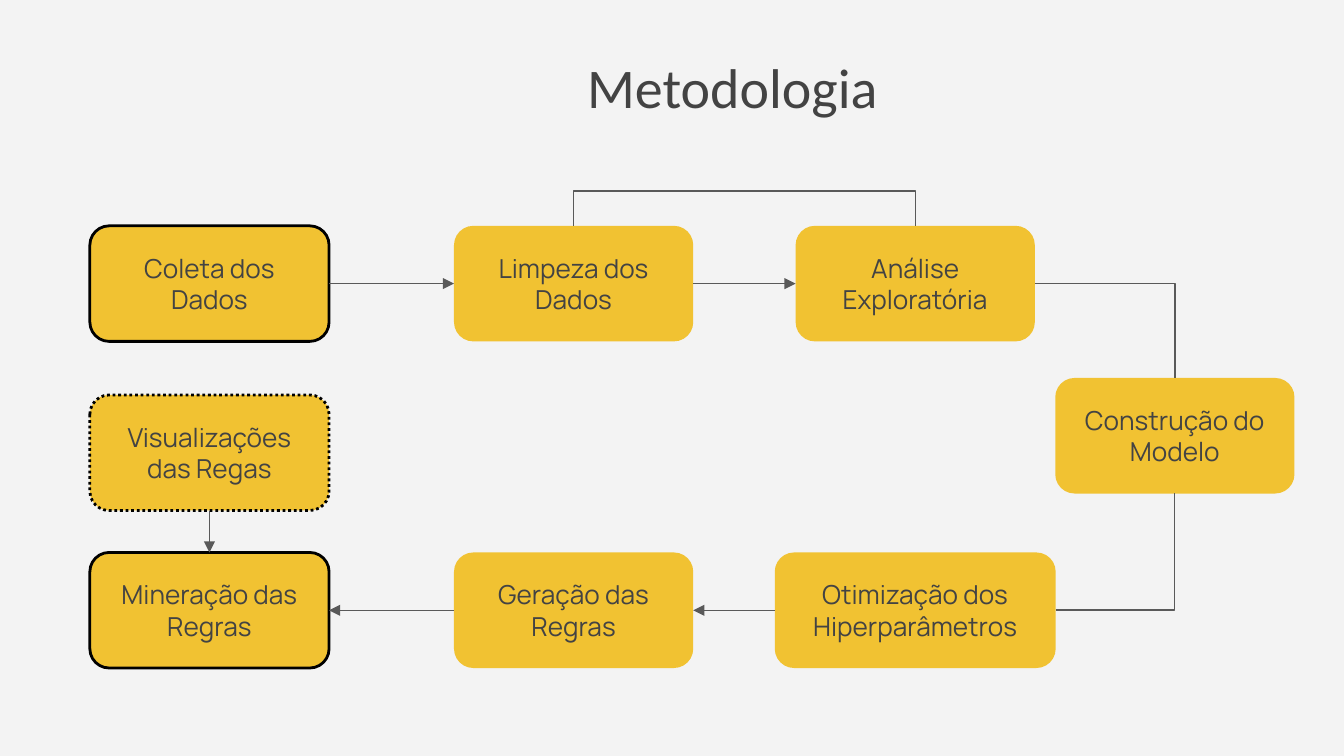
from lxml import etree
from pptx import Presentation
from pptx.dml.color import RGBColor
from pptx.enum.dml import MSO_LINE
from pptx.enum.shapes import MSO_CONNECTOR, MSO_SHAPE
from pptx.enum.text import MSO_ANCHOR, MSO_AUTO_SIZE, PP_ALIGN
from pptx.oxml.ns import qn
from pptx.util import Pt

STRAIGHT, ELBOW = MSO_CONNECTOR.STRAIGHT, MSO_CONNECTOR.ELBOW
ROUNDED_BOX = MSO_SHAPE.FLOWCHART_ALTERNATE_PROCESS
DOTTED = MSO_LINE.ROUND_DOT
CENTER, MIDDLE = PP_ALIGN.CENTER, MSO_ANCHOR.MIDDLE
TOP, LEFT, BOTTOM, RIGHT = range(4)  # connection sites of a box

COLORS = {
    "background": "F3F3F3",
    "text": "434343",
    "box": "F1C232",
    "border": "000000",
    "arrow": "595959",
}
FRAME_FORMAT = {
    "word_wrap": True,
    "auto_size": MSO_AUTO_SIZE.NONE,
    "vertical_anchor": MIDDLE,
    "margin_left": Pt(7.2),
    "margin_right": Pt(7.2),
    "margin_top": Pt(7.2),
    "margin_bottom": Pt(7.2),
}


def color(name):
    return RGBColor.from_string(COLORS[name])


class FlowSlide:
    """Holds the style and the current slide."""

    box_height = 61.92
    title_font = {"name": "Calibri", "size": Pt(30), "bold": False}
    box_font = {"name": "Manrope", "size": Pt(14), "bold": False}

    def __init__(self, presentation):
        self.slide = presentation.slides.add_slide(presentation.slide_layouts[5])
        fill = self.slide.background.fill
        fill.solid()
        fill.fore_color.rgb = color("background")

    def set_text(self, shape, text, font_format):
        frame = shape.text_frame
        for name, value in FRAME_FORMAT.items():
            setattr(frame, name, value)
        paragraph = frame.paragraphs[0]
        paragraph.alignment = CENTER
        run = paragraph.add_run()
        run.text = text
        for name, value in font_format.items():
            setattr(run.font, name, value)
        run.font.color.rgb = color("text")

    def title(self, text, left, top, width, height):
        shape = self.slide.shapes.title
        shape.left, shape.top = Pt(left), Pt(top)
        shape.width, shape.height = Pt(width), Pt(height)
        self.set_text(shape, text, self.title_font)

    def box(self, text, center, top, width=128.16, border=False, dash=None):
        shape = self.slide.shapes.add_shape(
            ROUNDED_BOX, Pt(center - width / 2), Pt(top), Pt(width), Pt(self.box_height))
        shape.shadow.inherit = False
        shape.fill.solid()
        shape.fill.fore_color.rgb = color("box")
        if border:
            self.stroke(shape.line, "border", 1.5)
            shape.line.dash_style = dash
        else:
            shape.line.fill.background()
        self.set_text(shape, text, self.box_font)
        return shape

    def stroke(self, line, color_name, width):
        line.color.rgb = color(color_name)
        line.width = Pt(width)

    def connect(self, start, start_site, end, end_site, kind=STRAIGHT):
        """Straight connectors get an arrowhead; elbows make one plain turn."""
        connector = self.slide.shapes.add_connector(kind, 0, 0, 0, 0)
        connector.begin_connect(start, start_site)
        connector.end_connect(end, end_site)
        self.stroke(connector.line, "arrow", 0.75)
        properties = connector._element.spPr
        if kind == ELBOW:
            properties.find(qn("a:prstGeom")).set("prst", "bentConnector2")
        else:
            etree.SubElement(properties.find(qn("a:ln")), qn("a:tailEnd"), type="triangle")
        etree.SubElement(properties, qn("a:effectLst"))

    def loop_above(self, start, end, rise):
        """Open line from the top of one box over to the top of another."""
        start_x, end_x = (box.left + box.width // 2 for box in (start, end))
        high = start.top - Pt(rise)
        builder = self.slide.shapes.build_freeform(start_x, start.top)
        builder.add_line_segments(
            [(start_x, high), (end_x, high), (end_x, end.top)], close=False)
        shape = builder.convert_to_shape()
        shape.shadow.inherit = False
        shape.fill.background()
        self.stroke(shape.line, "arrow", 0.75)


def main():
    presentation = Presentation()
    presentation.slide_width, presentation.slide_height = Pt(720), Pt(405)
    flow = FlowSlide(presentation)
    flow.title("Metodologia", 133.2, 23.8, 518.4, 44.6)

    # Column centers and row tops
    first, second, third, fourth = 112.2, 307.3, 490.3, 629.4
    upper, lower = 121, 296

    # Steps
    collection = flow.box("Coleta dos Dados", first, upper, border=True)
    cleaning = flow.box("Limpeza dos Dados", second, upper)
    exploration = flow.box("Análise Exploratória", third, upper)
    model = flow.box("Construção do Modelo", fourth, 202.5)
    tuning = flow.box("Otimização dos Hiperparâmetros", third, lower, width=150.5)
    generation = flow.box("Geração das Regras", second, lower)
    mining = flow.box("Mineração das Regras", first, lower, border=True)
    charts = flow.box("Visualizações das Regas", first, 211.6, border=True, dash=DOTTED)

    # Arrows between neighbours
    flow.connect(collection, RIGHT, cleaning, LEFT)
    flow.connect(cleaning, RIGHT, exploration, LEFT)
    flow.connect(tuning, LEFT, generation, RIGHT)
    flow.connect(generation, LEFT, mining, RIGHT)
    flow.connect(charts, BOTTOM, mining, TOP)

    # Turns around the model, and the way back to cleaning
    flow.connect(exploration, RIGHT, model, TOP, ELBOW)
    flow.connect(tuning, RIGHT, model, BOTTOM, ELBOW)
    flow.loop_above(exploration, cleaning, 18.7)

    presentation.save("out.pptx")


if __name__ == "__main__":
    main()
